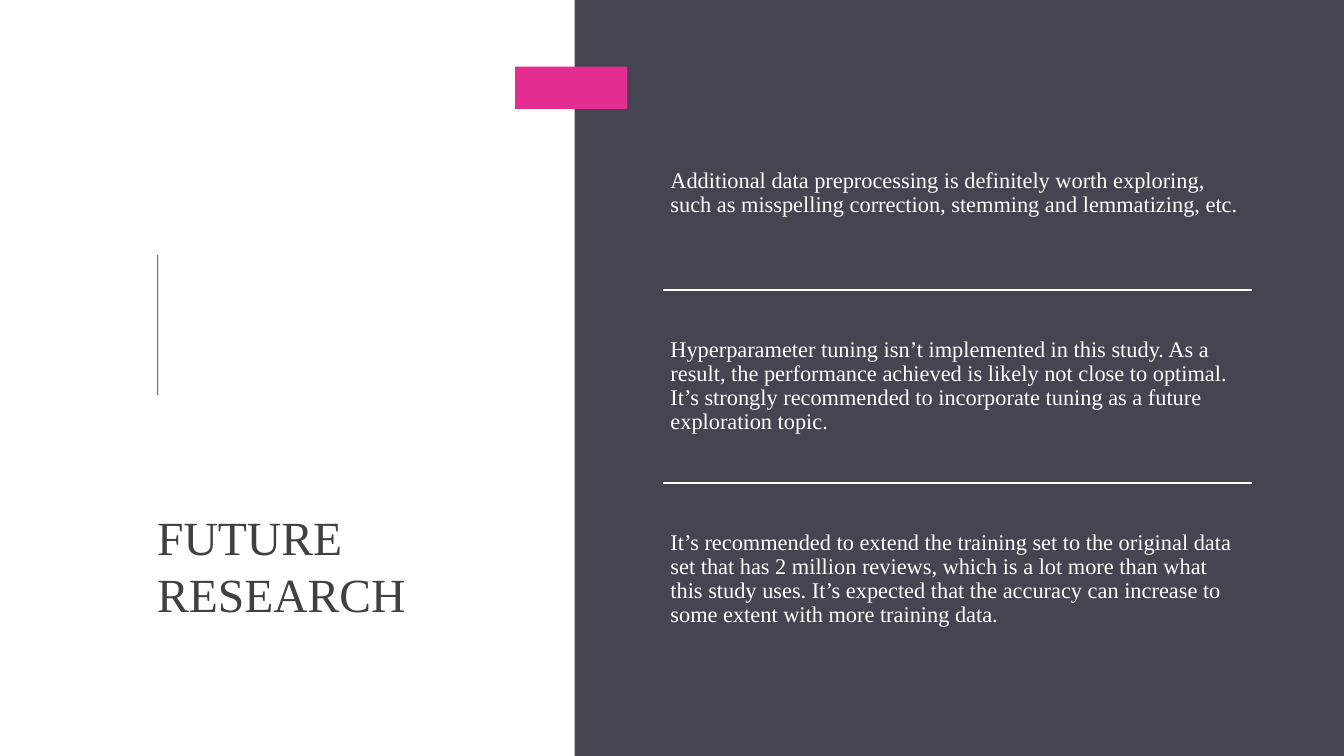
import pptx
import pptx.dml.color
import pptx.enum.shapes
import pptx.enum.text
import pptx.oxml.ns
import pptx.util
from lxml import etree

Inches = pptx.util.Inches
Pt = pptx.util.Pt
Anchor = pptx.enum.text.MSO_ANCHOR


def rgb(color):
    return pptx.dml.color.RGBColor.from_string(color)


class SlideBuilder:
    font = "Times New Roman"
    white = "FFFFFF"
    panel = "454551"
    accent = "E32D91"
    rule = "24282B"
    heading = "404040"

    def __init__(self, s):
        self.s = s
        s.background.fill.solid()
        s.background.fill.fore_color.rgb = rgb(self.white)

    def rect(self, x, y, w, h, color):
        kind = pptx.enum.shapes.MSO_SHAPE.RECTANGLE
        sp = self.s.shapes.add_shape(kind, Inches(x), Inches(y), Inches(w), Inches(h))
        sp.shadow.inherit = False
        sp.fill.solid()
        sp.fill.fore_color.rgb = rgb(color)
        sp.line.fill.background()

    def text(self, x, y, w, h, text, size, color, anchor, inset=0, spacing=None):
        sp = self.s.shapes.add_textbox(Inches(x), Inches(y), Inches(w), Inches(h))
        tf = sp.text_frame
        tf.word_wrap = True
        tf.vertical_anchor = anchor
        tf.margin_left = tf.margin_right = Inches(inset)
        tf.margin_top = tf.margin_bottom = Inches(inset)
        p = tf.paragraphs[0]
        p.text = text
        p.line_spacing = spacing
        p.font.name = self.font
        p.font.size = Pt(size)
        p.font.color.rgb = rgb(color)

    def line(self, x, y, w, color, weight):
        kind = pptx.enum.shapes.MSO_CONNECTOR.STRAIGHT
        sp = self.s.shapes.add_connector(kind, Inches(x), Inches(y), Inches(x + w), Inches(y))
        sp.line.color.rgb = rgb(color)
        sp.line.width = Pt(weight)
        etree.SubElement(sp._element.spPr, pptx.oxml.ns.qn("a:effectLst"))


def main():
    prs = pptx.Presentation()
    prs.slide_width = Inches(13.33)
    prs.slide_height = Inches(7.5)
    b = SlideBuilder(prs.slides.add_slide(prs.slide_layouts[6]))

    b.rect(5.7, 0, 7.63, 7.5, b.panel)
    b.rect(1.56, 2.53, 0.01, 1.39, b.rule)
    b.rect(5.11, 0.66, 1.11, 0.42, b.accent)
    b.text(1.56, 4.41, 4, 1.76, "FUTURE RESEARCH", 34, b.heading, Anchor.BOTTOM)

    topics = [
        "Additional data preprocessing is definitely worth exploring, such as "
        "misspelling correction, stemming and lemmatizing, etc.",
        "Hyperparameter tuning isn’t implemented in this study. As a result, the "
        "performance achieved is likely not close to optimal. It’s strongly "
        "recommended to incorporate tuning as a future exploration topic.",
        "It’s recommended to extend the training set to the original data set that "
        "has 2 million reviews, which is a lot more than what this study uses. It’s "
        "expected that the accuracy can increase to some extent with more training data.",
    ]
    left, top, width, pitch = 6.58, 0.96, 5.84, 1.915
    for i, topic in enumerate(topics):
        y = top + i * pitch
        if i:
            b.line(left, y, width, b.white, 1.75)
        b.text(left, y, width, pitch, topic, 16, b.white, Anchor.MIDDLE, 0.07, 0.9)

    prs.save("out.pptx")


if __name__ == "__main__":
    main()
